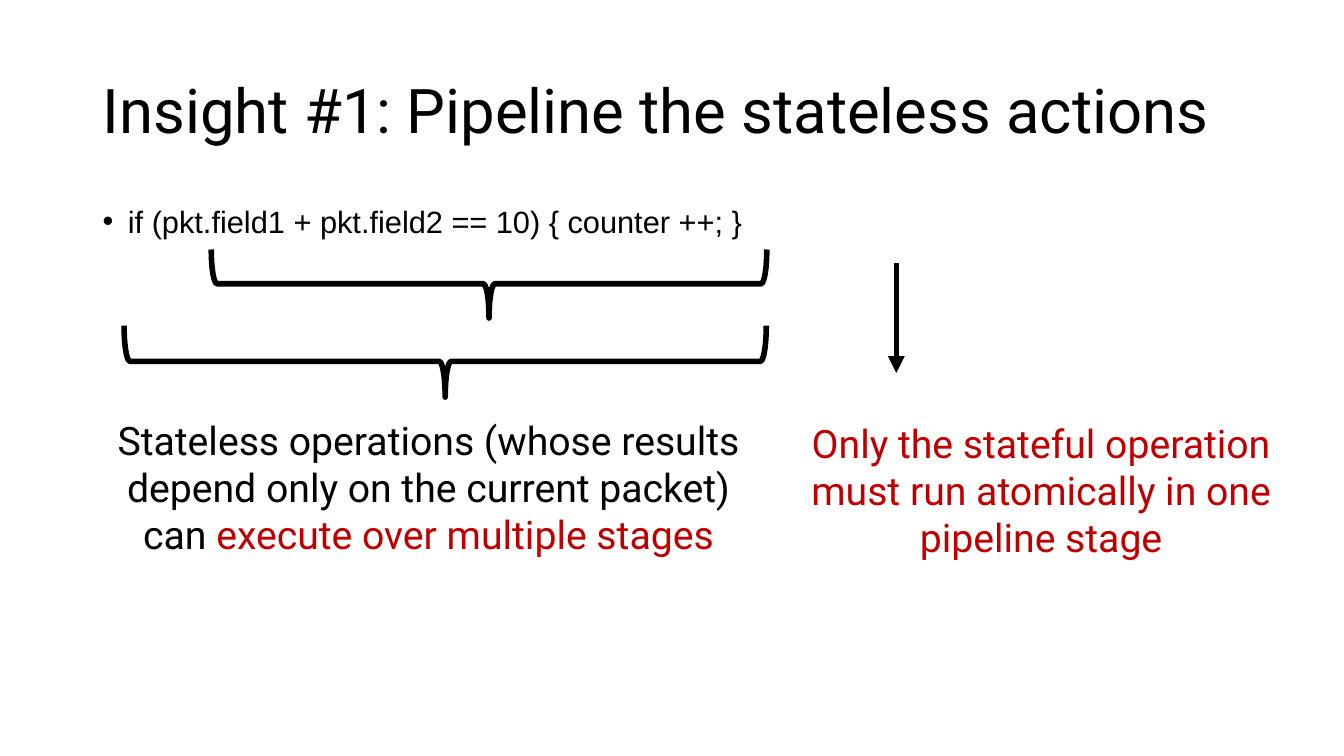
"""Build the slide on pipelining stateless packet actions."""
from dataclasses import dataclass

import lxml.etree
import pptx
import pptx.dml.color
import pptx.enum.shapes
import pptx.enum.text
import pptx.oxml.ns
import pptx.shapes.base
import pptx.slide
import pptx.text.text
import pptx.util

PX = 9144
BLACK = pptx.dml.color.RGBColor(0x00, 0x00, 0x00)
RED = pptx.dml.color.RGBColor(0xC0, 0x00, 0x00)
LINE_WIDTH = pptx.util.Pt(4)
LEFT = pptx.enum.text.PP_ALIGN.LEFT
CENTER = pptx.enum.text.PP_ALIGN.CENTER


@dataclass(frozen=True)
class Box:
    left: int
    top: int
    width: int
    height: int

    def emu(self) -> tuple[int, int, int, int]:
        return self.left * PX, self.top * PX, self.width * PX, self.height * PX


@dataclass(frozen=True)
class Span:
    text: str
    color: pptx.dml.color.RGBColor = BLACK


@dataclass(frozen=True)
class Caption:
    box: Box
    spans: tuple[Span, ...]


TITLE = Caption(Box(92, 40, 1216, 145), (Span("Insight #1: Pipeline the stateless actions"),))
CODE = Caption(
    Box(92, 200, 1150, 550), (Span("if (pkt.field1 + pkt.field2 == 10) { counter ++; }"),)
)
BRACES = (Box(451, 6, 68, 551), Box(406, 40, 71, 637))
NOTES = (
    Caption(
        Box(92, 408, 666, 151),
        (
            Span("Stateless operations (whose results depend only on the current packet) can "),
            Span("execute over multiple stages", RED),
        ),
    ),
    Caption(
        Box(792, 411, 481, 151),
        (Span("Only the stateful operation must run atomically in one pipeline stage", RED),),
    ),
)
ARROW = Box(889, 261, 0, 109)


def fill_text(
    shape: pptx.shapes.base.BaseShape,
    caption: Caption,
    font: str,
    size: int,
    align: pptx.enum.text.PP_ALIGN,
    spacing: float = 1.0,
) -> pptx.text.text._Paragraph:
    shape.left, shape.top, shape.width, shape.height = caption.box.emu()
    frame = shape.text_frame
    frame.word_wrap = True
    frame.auto_size = pptx.enum.text.MSO_AUTO_SIZE.NONE
    para = frame.paragraphs[0]
    para.alignment = align
    para.line_spacing = spacing
    for span in caption.spans:
        run = para.add_run()
        run.text = span.text
        run.font.name = font
        run.font.size = pptx.util.Pt(size)
        run.font.color.rgb = span.color
    return para


def add_bullet(para: pptx.text.text._Paragraph, indent: int) -> None:
    properties = para._p.get_or_add_pPr()
    properties.set("marL", str(indent * PX))
    properties.set("indent", str(-indent * PX))
    font = lxml.etree.SubElement(properties, pptx.oxml.ns.qn("a:buFont"))
    font.set("typeface", "Arial")
    bullet = lxml.etree.SubElement(properties, pptx.oxml.ns.qn("a:buChar"))
    bullet.set("char", "•")


def add_brace(slide: pptx.slide.Slide, box: Box) -> None:
    brace = slide.shapes.add_shape(pptx.enum.shapes.MSO_SHAPE.RIGHT_BRACE, *box.emu())
    brace.rotation = 90
    brace.shadow.inherit = False
    brace.fill.background()
    brace.line.color.rgb = BLACK
    brace.line.width = LINE_WIDTH


def add_arrow(slide: pptx.slide.Slide, box: Box) -> None:
    left, top, width, height = box.emu()
    arrow = slide.shapes.add_connector(
        pptx.enum.shapes.MSO_CONNECTOR.STRAIGHT, left, top, left + width, top + height
    )
    arrow.line.color.rgb = BLACK
    arrow.line.width = LINE_WIDTH
    head = lxml.etree.SubElement(arrow.line._get_or_add_ln(), pptx.oxml.ns.qn("a:tailEnd"))
    head.set("type", "triangle")
    lxml.etree.SubElement(arrow._element.spPr, pptx.oxml.ns.qn("a:effectLst"))


def main() -> None:
    deck = pptx.Presentation()
    deck.slide_width = 1333 * PX
    deck.slide_height = 750 * PX
    slide = deck.slides.add_slide(deck.slide_layouts.get_by_name("Title Only"))
    title = slide.shapes.title
    fill_text(title, TITLE, "Roboto", 44, LEFT, 0.9)
    title.text_frame.vertical_anchor = pptx.enum.text.MSO_ANCHOR.MIDDLE
    code = slide.shapes.add_textbox(*CODE.box.emu())
    add_bullet(fill_text(code, CODE, "Arial", 22, LEFT, 0.9), 25)
    for box in BRACES:
        add_brace(slide, box)
    for note in NOTES:
        fill_text(slide.shapes.add_textbox(*note.box.emu()), note, "Roboto", 28, CENTER)
    add_arrow(slide, ARROW)
    deck.save("out.pptx")


if __name__ == "__main__":
    main()
